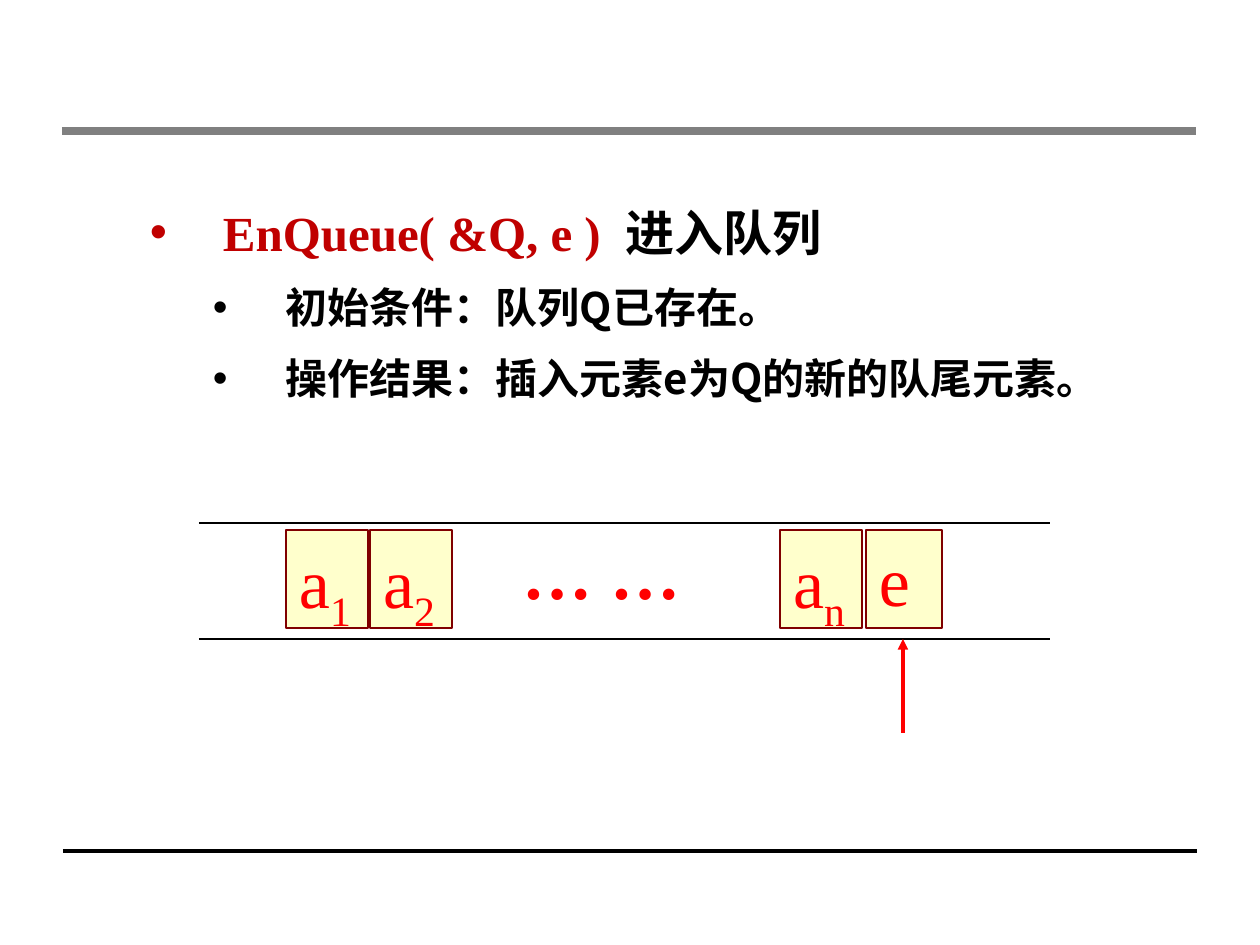
import pptx
import pptx.util
import pptx.dml.color
import pptx.enum.shapes
import pptx.enum.text
import pptx.oxml.ns
import lxml.etree

PX = 914400 // 126
COLORS = {
    "black": "000000", "grey": "808080", "red": "FF0000",
    "crimson": "C00000", "maroon": "800000", "cream": "FFFFCC",
}
SERIF, SANS = "Times New Roman", "Noto Sans CJK SC"


def px(length):
    return pptx.util.Emu(length * PX)


def color(name):
    return pptx.dml.color.RGBColor.from_string(COLORS[name])


def add_xml(parent, tag, **attributes):
    return lxml.etree.SubElement(parent, pptx.oxml.ns.qn(tag), attributes)


def add_rule(slide, start, end, tint, weight, arrow=False):
    rule = slide.shapes.add_connector(
        pptx.enum.shapes.MSO_CONNECTOR.STRAIGHT, *map(px, start + end))
    rule.line.color.rgb = color(tint)
    rule.line.width = pptx.util.Pt(weight)
    if arrow:
        add_xml(rule.line._ln, "a:tailEnd", type="triangle")
    add_xml(rule._element.spPr, "a:effectLst")


def add_run(paragraph, text, size, face, tint, bold=False):
    run = paragraph.add_run()
    run.text = text
    formats = {"size": pptx.util.Pt(size), "name": face, "bold": bold}
    for attribute, value in formats.items():
        setattr(run.font, attribute, value)
    run.font.color.rgb = color(tint)
    add_xml(run.font._element, "a:ea", typeface=face)
    return run


def set_frame(frame, margins, wrap):
    formats = dict(zip(("margin_left", "margin_top", "margin_right", "margin_bottom"),
                       map(px, margins)))
    formats.update(word_wrap=wrap, vertical_anchor=pptx.enum.text.MSO_ANCHOR.TOP)
    for attribute, value in formats.items():
        setattr(frame, attribute, value)


def add_page_rules(slide, left, top, width, height):
    add_rule(slide, (left + 1, top + height), (left + 1 + width, top + height), "black", 2)
    add_rule(slide, (left, top), (left + width, top), "grey", 5)


def add_operation(slide, left, top, width, height):
    box = slide.shapes.add_textbox(*map(px, (left, top, width, height)))
    set_frame(box.text_frame, (13, 6, 13, 6), True)
    # level, indent, line pitch, bullet colour, runs
    lines = [
        (1, 98, 48, "crimson", [("EnQueue( &Q, e )", 28, SERIF, "crimson", True),
                                (" ", 28, SERIF, "crimson", True),
                                ("进入队列", 28, SANS, "black", True)]),
        (3, 161, 40.5, "black", [("初始条件：队列Q已存在。", 24, SANS, "black", True)]),
        (3, 161, 40.5, "black", [("操作结果：插入元素e为Q的新的队尾元素。", 24, SANS, "black", True)]),
    ]
    for index, (level, indent, pitch, tint, runs) in enumerate(lines):
        frame = box.text_frame
        line = frame.add_paragraph() if index else frame.paragraphs[0]
        line.level = level
        properties = line._p.get_or_add_pPr()
        properties.set("marL", str(px(indent)))
        properties.set("indent", str(px(-73)))
        add_xml(add_xml(properties, "a:buClr"), "a:srgbClr", val=COLORS[tint])
        add_xml(properties, "a:buFont", typeface="Arial")
        add_xml(properties, "a:buChar", char="•")
        line.line_spacing = pptx.util.Pt(pitch)
        line.space_before = line.space_after = pptx.util.Pt(0)
        for run in runs:
            added = add_run(line, *run)
            if run[0] == " ":
                # Widen the gap before the heading's translation
                added.font._element.set("spc", "700")


def add_queue(slide, left, top, width, height):
    # Rails of the queue
    for y in (top, top + height):
        add_rule(slide, (left, y), (left + width, y), "black", 0.75)

    # Elements: offset, width, name, subscript
    elements = [(87, 82, "a", "1"), (171, 82, "a", "2"),
                (581, 82, "a", "n"), (667, 76, "e", "")]
    for offset, cell_width, name, subscript in elements:
        cell = slide.shapes.add_shape(
            pptx.enum.shapes.MSO_SHAPE.RECTANGLE,
            *map(px, (left + offset, top + 7, cell_width, 98)))
        cell.shadow.inherit = False
        cell.fill.solid()
        cell.fill.fore_color.rgb = color("cream")
        cell.line.color.rgb = color("maroon")
        cell.line.width = pptx.util.Pt(0.75)
        set_frame(cell.text_frame, (13, 7, 6, 0), True)
        label = cell.text_frame.paragraphs[0]
        label.alignment = pptx.enum.text.PP_ALIGN.LEFT
        add_run(label, name, 40, SERIF, "red")
        if subscript:
            index = add_run(label, subscript, 41, SERIF, "red")
            index.font._element.set("baseline", "-25000")

    # Elements left out
    dots = slide.shapes.add_textbox(*map(px, (left + 311, top, 183, 97)))
    set_frame(dots.text_frame, (0, 7, 13, 0), False)
    dots.text_frame.paragraphs[0].alignment = pptx.enum.text.PP_ALIGN.RIGHT
    add_run(dots.text_frame.paragraphs[0], "… …", 40, SERIF, "red", True)

    # Arrow to the new tail
    tail = left + 704
    add_rule(slide, (tail, top + height + 94), (tail, top + height), "red", 2, True)


def main():
    deck = pptx.Presentation()
    deck.slide_width, deck.slide_height = pptx.util.Inches(10), pptx.util.Inches(7.5)
    slide = deck.slides.add_slide(deck.slide_layouts[6])
    add_page_rules(slide, 62, 131, 1134, 720)
    add_queue(slide, 199, 523, 851, 116)
    add_operation(slide, 112, 171, 1046, 310)
    deck.save("out.pptx")


if __name__ == "__main__":
    main()
